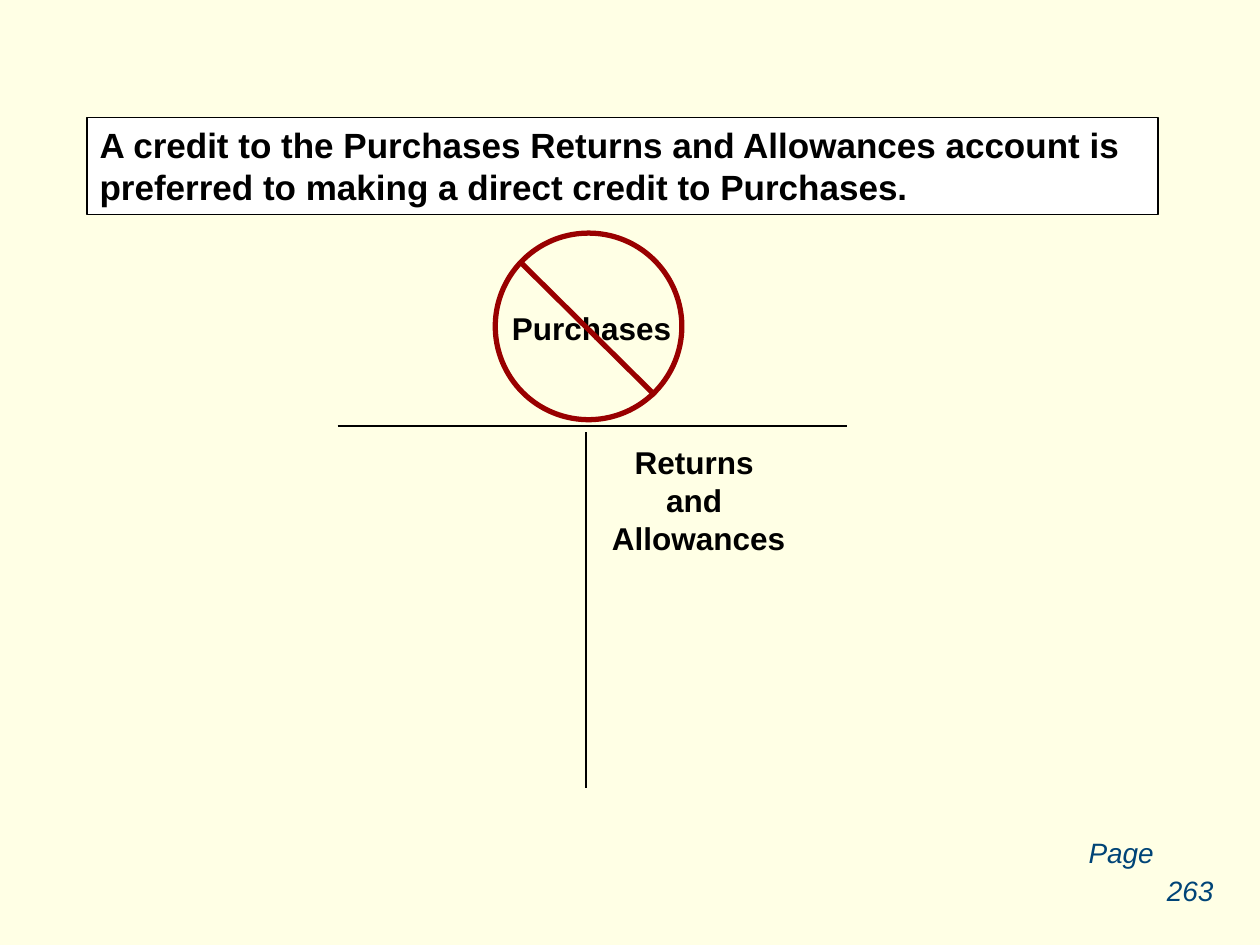
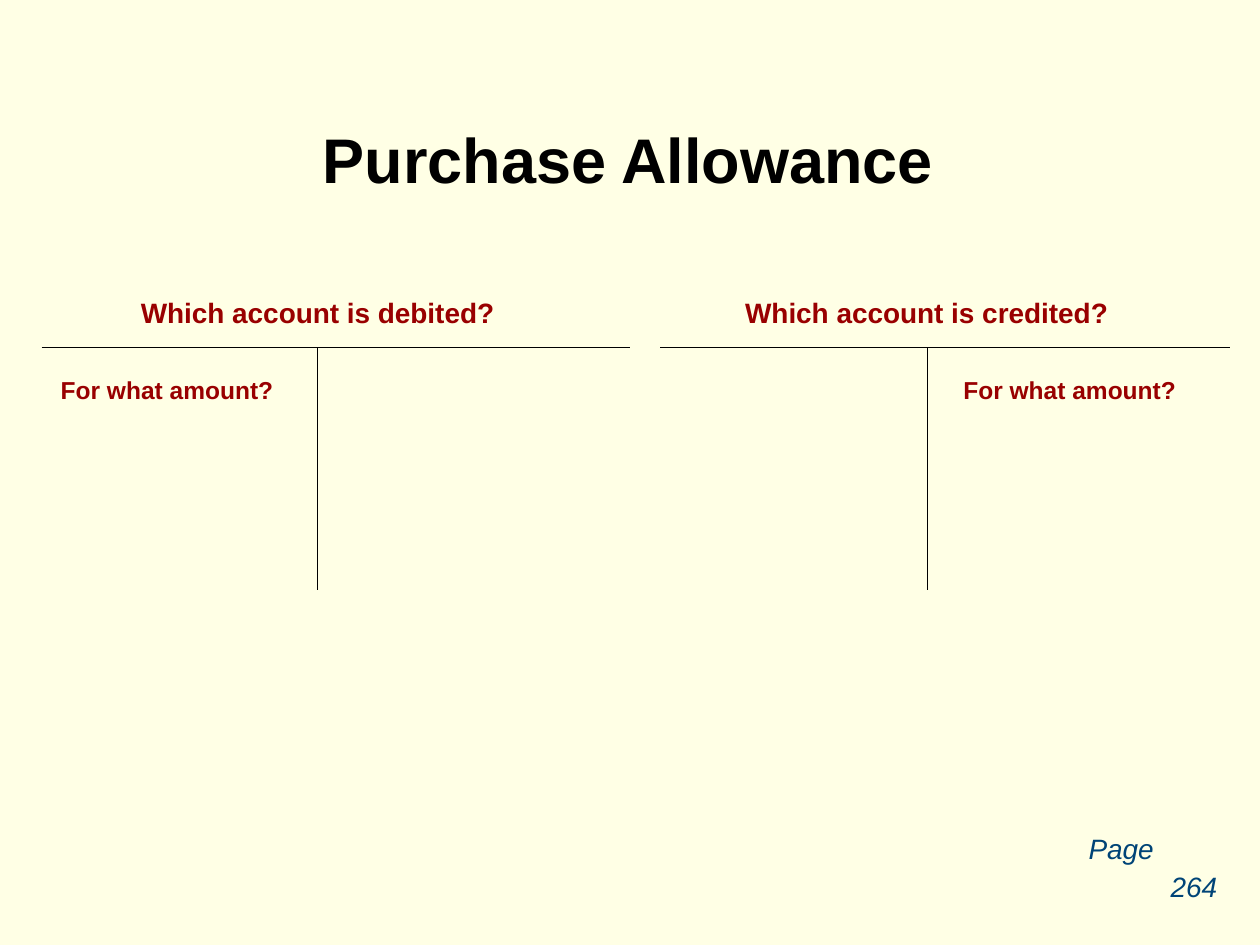
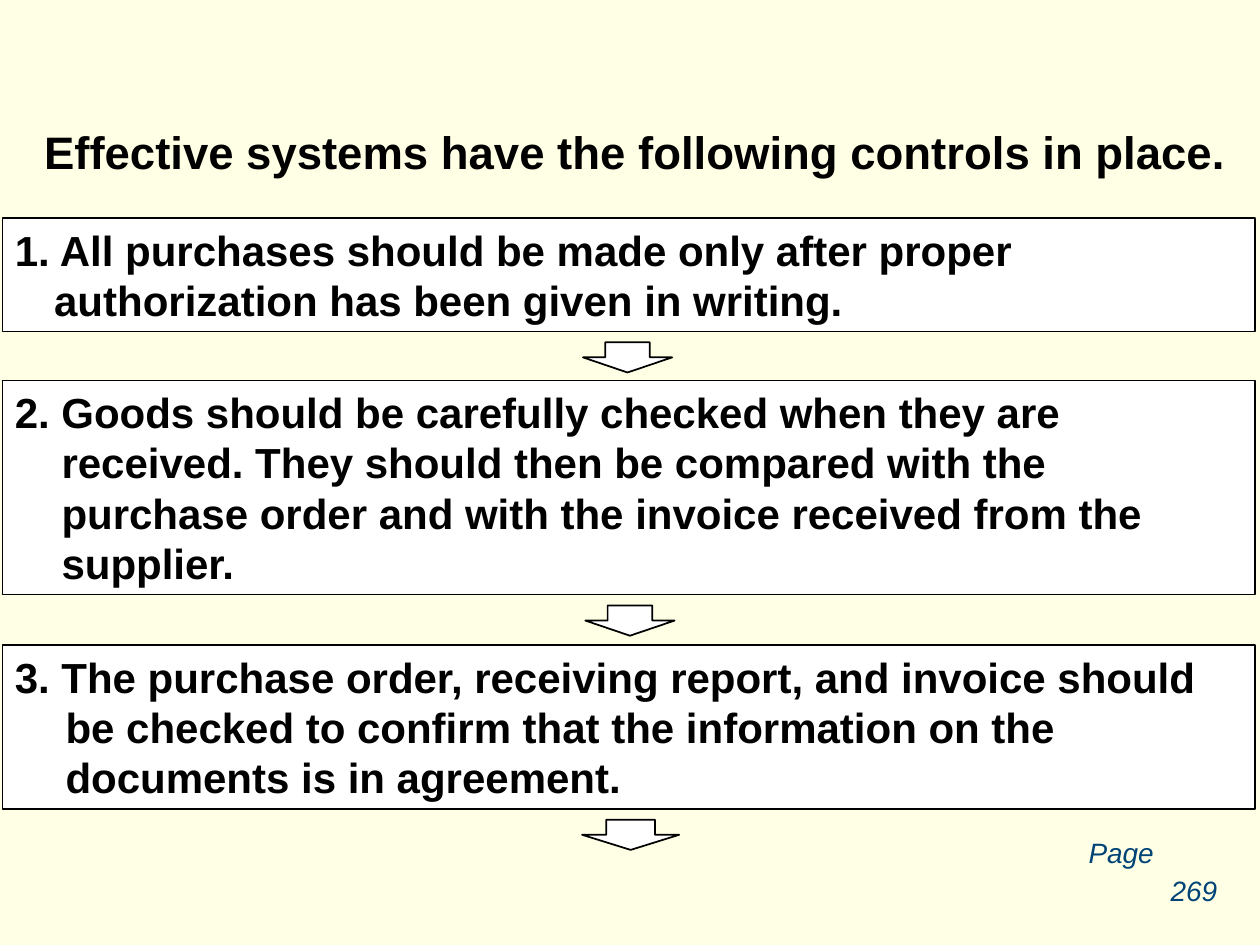
from dataclasses import dataclass

from lxml import etree
from pptx import Presentation
from pptx.dml.color import RGBColor
from pptx.enum import shapes, text
from pptx.oxml.ns import qn
from pptx.util import Pt

LEFT, CENTER = text.PP_ALIGN.LEFT, text.PP_ALIGN.CENTER


@dataclass(frozen=True)
class Theme:
    font: str = "Arial"
    paper: str = "FFFFE5"
    panel: str = "FFFFFF"
    ink: str = "000000"
    accent: str = "990000"
    page: str = "004477"
    title: float = 36
    heading: float = 26
    step: float = 24
    statement: float = 20
    account: float = 18
    question: float = 16
    amount: float = 14
    leading: float = 1.2
    thin: float = 0.75
    medium: float = 1
    thick: float = 3


class Deck:
    """Holds the theme and the slide being built; all lengths in points."""

    def __init__(self, theme):
        self.t = theme
        self.prs = Presentation()
        self.prs.slide_width, self.prs.slide_height = Pt(720), Pt(540)
        fill = self.prs.slide_master.background.fill
        fill.solid()
        fill.fore_color.rgb = RGBColor.from_string(theme.paper)
        self.s = None

    def slide(self, page, page_top=474):
        self.s = self.prs.slides.add_slide(self.prs.slide_layouts[5])
        # Page label, with the number one step lower and to the right
        look = dict(color=self.t.page, bold=False, italic=True, wrap=False)
        self.label("Page", (615, page_top, 52, 27), self.t.question, align=LEFT, **look)
        self.label(page, (659.5, page_top + 21.5, 45.5, 27), self.t.question, **look)

    def set_text(self, sp, words, size, color=None, align=LEFT, bold=True,
                 italic=False, wrap=True, anchor=text.MSO_ANCHOR.TOP, hang=0):
        tf = sp.text_frame
        tf.word_wrap = wrap
        tf.auto_size = text.MSO_AUTO_SIZE.NONE
        tf.vertical_anchor = anchor
        tf.margin_left = tf.margin_right = Pt(7.2)
        tf.margin_top = tf.margin_bottom = Pt(3.6)
        p = tf.paragraphs[0]
        p.text = words
        p.alignment = align
        p.line_spacing = Pt(size * self.t.leading)
        p.space_before = Pt(0)
        if hang:
            pPr = p._p.get_or_add_pPr()
            pPr.set("marL", str(Pt(hang)))
            pPr.set("indent", str(-Pt(hang)))
        for r in p.runs:
            r.font.name, r.font.size = self.t.font, Pt(size)
            r.font.bold, r.font.italic = bold, italic
            r.font.color.rgb = RGBColor.from_string(color or self.t.ink)

    def stroke(self, sp, color, weight):
        sp.line.color.rgb = RGBColor.from_string(color)
        sp.line.width = Pt(weight)

    def paint(self, sp, weight):
        sp.fill.solid()
        sp.fill.fore_color.rgb = RGBColor.from_string(self.t.panel)
        self.stroke(sp, self.t.ink, weight)

    def title(self, words, box, size, align=CENTER, panel=False):
        sp = self.s.shapes.title
        sp.left, sp.top, sp.width, sp.height = map(Pt, box)
        if panel:
            self.paint(sp, self.t.thin)
        self.set_text(sp, words, size, align=align, anchor=text.MSO_ANCHOR.MIDDLE)

    def label(self, words, box, size, align=CENTER, **look):
        sp = self.s.shapes.add_textbox(*map(Pt, box))
        self.set_text(sp, words, size, align=align, **look)

    def shape(self, kind, box):
        sp = self.s.shapes.add_shape(kind, *map(Pt, box))
        sp.shadow.inherit = False
        self.paint(sp, self.t.medium)
        return sp

    def ring(self, box):
        sp = self.shape(shapes.MSO_SHAPE.OVAL, box)
        sp.fill.background()
        self.stroke(sp, self.t.accent, self.t.thick)

    def line(self, x1, y1, x2, y2, color=None, weight=None):
        sp = self.s.shapes.add_connector(
            shapes.MSO_CONNECTOR.STRAIGHT, Pt(x1), Pt(y1), Pt(x2), Pt(y2))
        self.stroke(sp, color or self.t.ink, weight or self.t.thin)
        etree.SubElement(sp._element.spPr, qn("a:effectLst"))

    def t_account(self, left, right, top, stem, bottom, gap=0):
        self.line(left, top, right, top)
        self.line(stem, top + gap, stem, bottom)

    def step(self, words, top, height, hang, arrow_mid, arrow_width):
        sp = self.shape(shapes.MSO_SHAPE.RECTANGLE, (1.4, top, 715.7, height))
        self.set_text(sp, words, self.t.step, hang=hang)
        self.shape(shapes.MSO_SHAPE.DOWN_ARROW,
                   (arrow_mid - arrow_width / 2, top + height + 6.2, arrow_width, 17.3))


def returns_slide(d):
    d.slide("263 ")
    d.title("A credit to the Purchases Returns and Allowances account is "
            "preferred to making a direct credit to Purchases.",
            (49.7, 67, 612, 55.4), d.t.statement, LEFT, panel=True)
    # Struck-out account name
    d.label("Purchases", (267, 172.8, 142, 28.8), d.t.account)
    d.ring((283, 133.2, 106.6, 106.6))
    d.line(297.4, 149.8, 374.4, 226, d.t.accent, d.t.thick)
    # T account
    d.t_account(193, 484, 243.4, 334.8, 450, gap=3.6)
    d.label("Returns \vand \vAllowances", (342.7, 249.8, 113, 72),
            d.t.account, wrap=False)


def allowance_slide(d):
    d.slide("264", page_top=471.6)
    d.title("Purchase Allowance", (141.8, 65.5, 434.2, 50.4), d.t.title)
    # Each account: side, left, right, stem, question left and width, amount left
    for side, left, right, stem, ask_left, ask_width, amount_left in (
            ("debited", 23.8, 360, 181.4, 31, 301, 27.6),
            ("credited", 377.3, 702.7, 530, 403.2, 252.7, 543.4)):
        d.label(f"Which account is {side}?", (ask_left, 165.6, ask_width, 26.6),
                d.t.question, color=d.t.accent)
        d.t_account(left, right, 198.7, stem, 337)
        d.label("For what amount?", (amount_left, 211, 150, 24.5),
                d.t.amount, align=LEFT, color=d.t.accent)


def controls_slide(d):
    d.slide("269")
    d.title("Effective systems have the following controls in place.",
            (18, 67, 695, 38.9), d.t.heading, LEFT)
    # Steps: words, top, height, hanging indent, arrow centre and width
    for step in (
            ("1. All purchases should be made only after proper "
             "\vauthorization has been given in writing.",
             124.6, 64.8, 22.5, 358.6, 51),
            ("2. Goods should be carefully checked when they are "
             "\vreceived. They should then be compared with the "
             "\vpurchase order and with the invoice received from the "
             "\vsupplier.",
             217.4, 122.4, 26.7, 360, 51),
            ("3. The purchase order, receiving report, and invoice should "
             "\vbe checked to confirm that the information on the "
             "\vdocuments is in agreement.",
             368.6, 93.6, 29, 360.4, 55.5)):
        d.step(*step)


def main():
    d = Deck(Theme())
    returns_slide(d)
    allowance_slide(d)
    controls_slide(d)
    d.prs.save("out.pptx")


if __name__ == "__main__":
    main()
